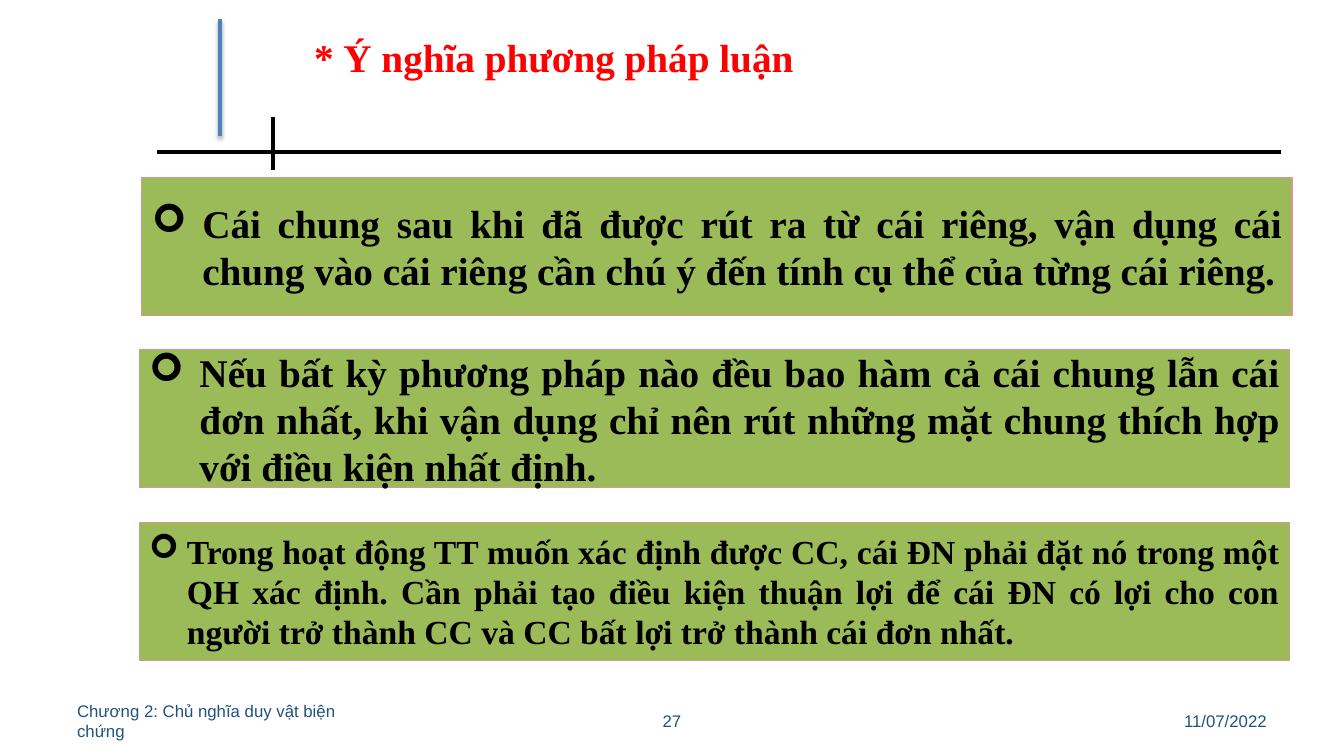
from lxml import etree
from pptx import Presentation
from pptx.dml.color import RGBColor
from pptx.enum.shapes import MSO_CONNECTOR, MSO_SHAPE
from pptx.enum.text import MSO_ANCHOR, MSO_AUTO_SIZE, PP_ALIGN
from pptx.oxml.ns import qn
from pptx.util import Pt

STRAIGHT, RECT = MSO_CONNECTOR.STRAIGHT, MSO_SHAPE.RECTANGLE
TOP, MIDDLE = MSO_ANCHOR.TOP, MSO_ANCHOR.MIDDLE
LEFT, CENTER, RIGHT, JUSTIFY = (PP_ALIGN.LEFT, PP_ALIGN.CENTER,
                                PP_ALIGN.RIGHT, PP_ALIGN.JUSTIFY)
COLORS = {"ink": "000000", "title": "FF0000", "panel": "9BBB59",
          "border": "D99694", "accent": "4F81BD", "footer": "1F5281"}
SERIF, SANS = "Times New Roman", "Arial"

# Text, font size and hanging indent of each panel
POINTS = [
    ("Cái chung sau khi đã được rút ra từ cái riêng, vận dụng cái chung vào "
     "cái riêng cần chú ý đến tính cụ thể của từng cái riêng.", 28, 36),
    ("Nếu bất kỳ phương pháp nào đều bao hàm cả cái chung lẫn cái đơn nhất, "
     "khi vận dụng chỉ nên rút những mặt chung thích hợp với điều kiện nhất "
     "định.", 28, 36),
    ("Trong hoạt động TT muốn xác định được CC, cái ĐN phải đặt nó trong một "
     "QH xác định. Cần phải tạo điều kiện thuận lợi để cái ĐN có lợi cho con "
     "người trở thành CC và CC bất lợi trở thành cái đơn nhất.", 24, 27),
]


def rgb(name):
    return RGBColor.from_string(COLORS[name])


def write(sp, text, size, font, color, align, anchor, bold=False):
    tf = sp.text_frame
    tf.word_wrap = True
    tf.vertical_anchor = anchor
    p = tf.paragraphs[0]
    p.text = text
    p.alignment = align
    f = p.runs[0].font
    f.size, f.name, f.bold = Pt(size), font, bold
    f.color.rgb = rgb(color)
    return p


def add_text(slide, box, *style, **options):
    sp = slide.shapes.add_textbox(*map(Pt, box))
    write(sp, *style, **options)
    return sp


def add_line(slide, x1, y1, x2, y2, color):
    line = slide.shapes.add_connector(STRAIGHT, Pt(x1), Pt(y1), Pt(x2), Pt(y2))
    line.line.color.rgb = rgb(color)
    line.line.width = Pt(3)
    effects = etree.SubElement(line._element.spPr, qn("a:effectLst"))
    return effects


def add_shadow(effects):
    shadow = etree.SubElement(effects, qn("a:outerShdw"), blurRad=str(Pt(3.1)),
                              dist=str(Pt(1.8)), dir="5400000", rotWithShape="0")
    color = etree.SubElement(shadow, qn("a:srgbClr"), val=COLORS["ink"])
    etree.SubElement(color, qn("a:alpha"), val="35000")


def add_header(slide, x, y, w, h):
    # Crossed rules
    add_line(slide, x, y + h, x + w, y + h, "ink")
    add_line(slide, x + 83, y + 70, x + 83, y + 108, "ink")
    # Title
    title = add_text(slide, (x + 20.2, y + 6.5, 533, 41),
                     "* Ý nghĩa phương pháp luận ", 28, SERIF, "title",
                     CENTER, TOP, bold=True)
    title.text_frame.auto_size = MSO_AUTO_SIZE.SHAPE_TO_FIT_TEXT
    # Accent bar
    add_shadow(add_line(slide, x + 44.7, y, x + 44.7, y + 83.5, "accent"))


def add_panel(slide, x, y, w, h, text, size, indent):
    sp = slide.shapes.add_shape(RECT, Pt(x), Pt(y), Pt(w), Pt(h))
    sp.shadow.inherit = False
    sp.fill.solid()
    sp.fill.fore_color.rgb = rgb("panel")
    sp.line.color.rgb = rgb("border")
    sp.line.width = Pt(0.75)
    p = write(sp, text, size, SERIF, "ink", JUSTIFY, MIDDLE, bold=True)
    # Arrow bullet with hanging indent
    pPr = p._p.get_or_add_pPr()
    pPr.set("marL", str(Pt(indent)))
    pPr.set("indent", str(-Pt(indent)))
    etree.SubElement(pPr, qn("a:buFont"), typeface="Wingdings")
    etree.SubElement(pPr, qn("a:buChar"), char="➢")


def add_panels(slide, x, y, w, h, pitch):
    for i, point in enumerate(POINTS):
        left = x + 2 if i == 0 else x
        add_panel(slide, left, y + i * pitch, w, h, *point)


def add_footer(slide, x, y, w, h):
    side, middle = 224, 304
    parts = [
        (x, side, "Chương 2: Chủ nghĩa duy vật biện chứng", LEFT),
        (x + (w - middle) / 2, middle, "27", CENTER),
        (x + w - side, side, "11/07/2022", RIGHT),
    ]
    for left, width, text, align in parts:
        add_text(slide, (left, y, width, h), text, 12, SANS, "footer",
                 align, MIDDLE)


def main():
    prs = Presentation()
    prs.slide_width, prs.slide_height = Pt(960), Pt(540)
    slide = prs.slides.add_slide(prs.slide_layouts[6])
    add_header(slide, 112.3, 13.7, 803, 95)
    add_panels(slide, 99.4, 127, 821.5, 98.6, 123)
    add_footer(slide, 48, 500.5, 864, 29)
    prs.save("out.pptx")


if __name__ == "__main__":
    main()
